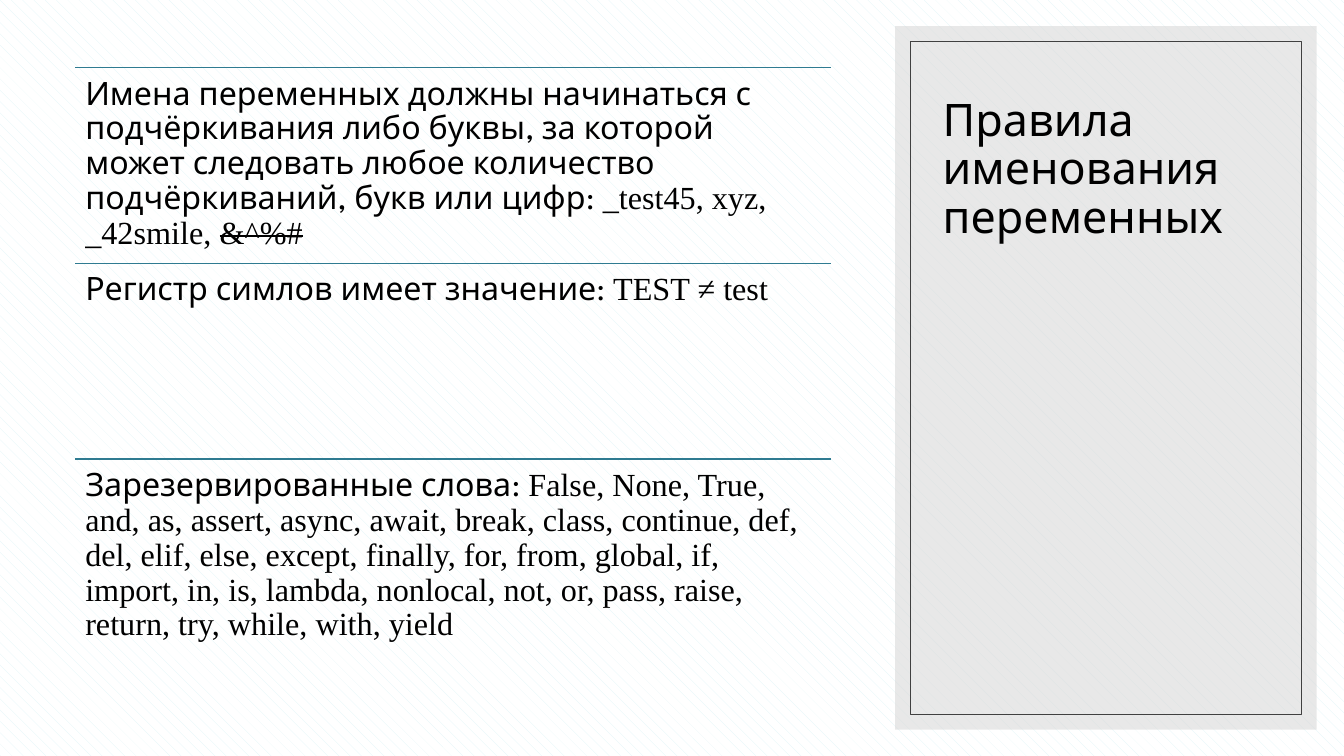
from lxml import etree
from pptx import Presentation
from pptx.dml.color import RGBColor
from pptx.enum.dml import MSO_PATTERN
from pptx.enum.shapes import MSO_CONNECTOR, MSO_SHAPE
from pptx.enum.text import MSO_ANCHOR, MSO_AUTO_SIZE, PP_ALIGN
from pptx.oxml.ns import qn
from pptx.util import Cm, Pt

RECTANGLE = MSO_SHAPE.RECTANGLE
STRAIGHT = MSO_CONNECTOR.STRAIGHT
SHINGLE = MSO_PATTERN.SHINGLE
TOP = MSO_ANCHOR.TOP
BOTTOM = MSO_ANCHOR.BOTTOM
LEFT = PP_ALIGN.LEFT
NO_AUTOFIT = MSO_AUTO_SIZE.NONE

COLORS = {
    "text": "000000",
    "rule": "2F7B91",
    "panel": "D9D9D9",
    "frame": "404040",
    "pattern": "DEF4F7",
    "paper": "FFFFFF",
}
HEADING_FONT = "League Spartan"
CODE_FONT = "Times New Roman"

TITLE = "Правила именования переменных"
RULES = [
    [
        ("Имена переменных должны начинаться с подчёркивания либо буквы, "
         "за которой может следовать любое количество подчёркиваний, "
         "букв или цифр: ", HEADING_FONT, False),
        ("_test45, xyz, _42smile, ", CODE_FONT, False),
        ("&^%#", CODE_FONT, True),
    ],
    [
        ("Регистр симлов имеет значение: ", HEADING_FONT, False),
        ("TEST ≠ test", CODE_FONT, False),
    ],
    [
        ("Зарезервированные слова: ", HEADING_FONT, False),
        ("False, None, True, and, as, assert, async, await, break, class, "
         "continue, def, del, elif, else, except, finally, for, from, global, "
         "if, import, in, is, lambda, nonlocal, not, or, pass, raise, return, "
         "try, while, with, yield", CODE_FONT, False),
    ],
]


def color(name):
    return RGBColor.from_string(COLORS[name])


def add_span(para, text, font, size, strike=False):
    span = para.add_run()
    span.text = text
    span.font.name = font
    span.font.size = Pt(size)
    span.font.color.rgb = color("text")
    if strike:
        span.font._element.set("strike", "sngStrike")


def paint_background(page):
    fill = page.background.fill
    fill.patterned()
    fill.pattern = SHINGLE
    fill.fore_color.rgb = color("pattern")
    fill.back_color.rgb = color("paper")


def add_title_panel(page, left, top, width, height):
    panel = page.shapes.add_shape(RECTANGLE, left, top, width, height)
    panel.shadow.inherit = False
    panel.fill.solid()
    panel.fill.fore_color.rgb = color("panel")
    tint = panel.fill._xPr.find(qn("a:solidFill"))[0]
    etree.SubElement(tint, qn("a:alpha")).set("val", "60000")
    panel.line.fill.background()

    inset = Cm(0.38)
    frame = page.shapes.add_shape(
        RECTANGLE, left + inset, top + inset, width - 2 * inset, height - 2 * inset)
    frame.shadow.inherit = False
    frame.fill.background()
    frame.line.color.rgb = color("frame")
    frame.line.width = Pt(0.5)

    title = page.shapes.title
    page.shapes._spTree.append(title._element)
    title.left, title.top = left + Cm(0.94), top + Cm(1.02)
    title.width, title.height = Cm(8.79), Cm(4.57)
    text = title.text_frame
    text.word_wrap = True
    text.auto_size = NO_AUTOFIT
    text.vertical_anchor = BOTTOM
    para = text.paragraphs[0]
    para.alignment = LEFT
    para.line_spacing = 0.9
    add_span(para, TITLE, HEADING_FONT, 32)


def add_rule(page, spans, left, top, width, height):
    line = page.shapes.add_connector(STRAIGHT, left, top, left + width, top)
    line.line.color.rgb = color("rule")
    line.line.width = Pt(1)
    etree.SubElement(line._element.spPr, qn("a:effectLst"))

    box = page.shapes.add_textbox(left, top, width, height)
    text = box.text_frame
    text.word_wrap = True
    text.auto_size = NO_AUTOFIT
    text.vertical_anchor = TOP
    text.margin_left = text.margin_right = Cm(0.25)
    text.margin_top = text.margin_bottom = Cm(0.25)
    para = text.paragraphs[0]
    para.line_spacing = 0.9
    for words, font, strike in spans:
        add_span(para, words, font, 23, strike)


def add_rules(page, left, top, width, height):
    row = height // len(RULES)
    for index, spans in enumerate(RULES):
        add_rule(page, spans, left, top + index * row, width, row)


def main():
    deck = Presentation()
    deck.slide_width, deck.slide_height = Cm(33.87), Cm(19.05)
    page = deck.slides.add_slide(deck.slide_layouts[5])
    paint_background(page)
    add_title_panel(page, Cm(22.56), Cm(0.66), Cm(10.62), Cm(17.73))
    add_rules(page, Cm(1.9), Cm(1.7), Cm(19.05), Cm(14.8))
    deck.save("out.pptx")


if __name__ == "__main__":
    main()
